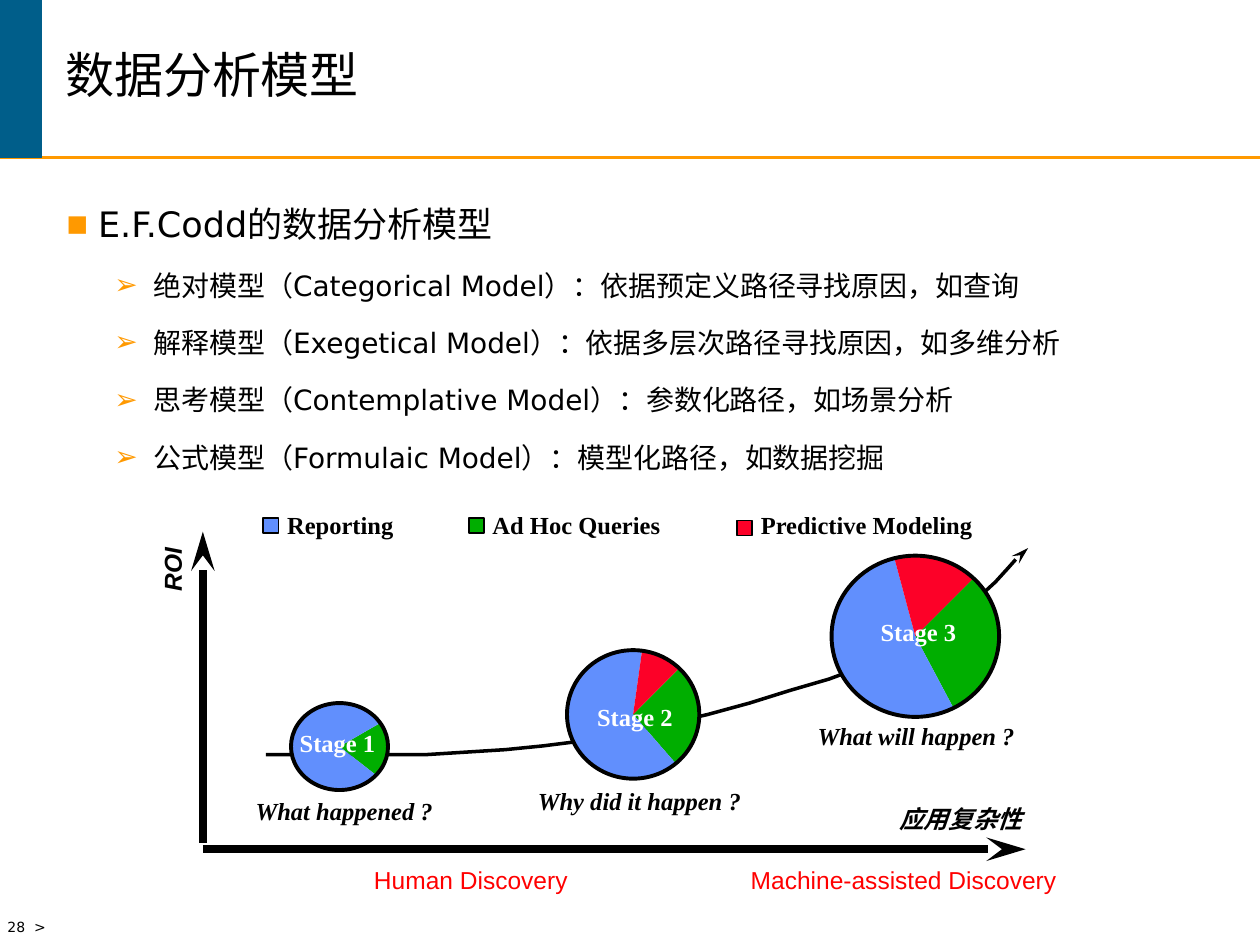
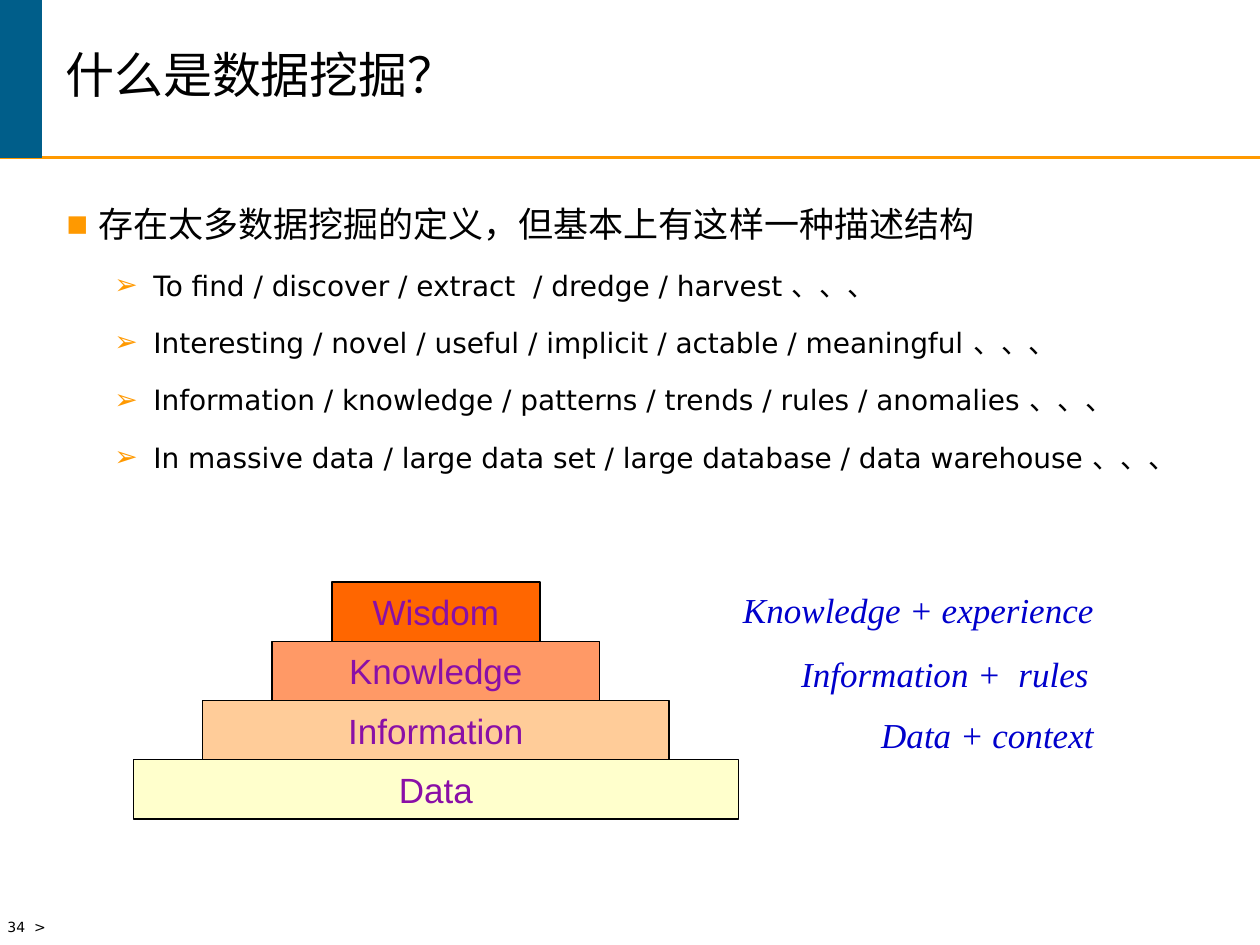
"""Build two slides on data analysis models and data mining."""
from dataclasses import dataclass

from lxml import etree
from pptx import Presentation
from pptx.dml.color import RGBColor
from pptx.enum.shapes import MSO_CONNECTOR, MSO_SHAPE
from pptx.enum.text import MSO_ANCHOR, PP_ALIGN
from pptx.oxml.ns import qn
from pptx.util import Inches, Pt

RECTANGLE = MSO_SHAPE.RECTANGLE
OVAL = MSO_SHAPE.OVAL
PIE = MSO_SHAPE.PIE
STRAIGHT = MSO_CONNECTOR.STRAIGHT
MIDDLE = MSO_ANCHOR.MIDDLE
LEFT, CENTER, RIGHT = PP_ALIGN.LEFT, PP_ALIGN.CENTER, PP_ALIGN.RIGHT


@dataclass(frozen=True)
class Theme:
    black: str = "000000"
    white: str = "FFFFFF"
    band: str = "005E8A"
    accent: str = "FF9900"
    reporting: str = "618FFD"
    queries: str = "00AE00"
    predictive: str = "FC0128"
    discovery: str = "FF0000"
    formula: str = "0000CC"
    layer_text: str = "8A0FA7"
    layers: tuple = ("FF6600", "FF9966", "FFCC99", "FFFFCC")
    title_font: str = "Noto Sans CJK SC"
    body_font: str = "DejaVu Sans"
    serif: str = "Times New Roman"
    sans: str = "Arial"
    title_size: int = 28
    heading_size: int = 20
    item_size: int = 16
    label_size: int = 14
    footer_size: int = 8


THEME = Theme()


def write(para, text, font, size, color, bold=False, italic=False):
    para.text = text
    for span in para.runs:
        span.font.name = font
        span.font.size = Pt(size)
        span.font.bold = bold
        span.font.italic = italic
        span.font.color.rgb = RGBColor.from_string(color)
        east_asian = etree.Element(qn("a:ea"), typeface=font)
        span.font.fill._xPr.find(qn("a:latin")).addnext(east_asian)


def add_label(page, text, place, font, size, color, bold=False, italic=False, align=LEFT):
    box = page.shapes.add_textbox(*map(Inches, place))
    box.text_frame.word_wrap = False
    para = box.text_frame.paragraphs[0]
    write(para, text, font, size, color, bold, italic)
    para.alignment = align
    return box


deck = Presentation()
deck.slide_width, deck.slide_height = Inches(10), Inches(7.5)

contents = [
    ("数据分析模型", "28  >", "E.F.Codd的数据分析模型", [
        "绝对模型（Categorical Model）：依据预定义路径寻找原因，如查询",
        "解释模型（Exegetical Model）：依据多层次路径寻找原因，如多维分析",
        "思考模型（Contemplative Model）：参数化路径，如场景分析",
        "公式模型（Formulaic Model）：模型化路径，如数据挖掘",
    ]),
    ("什么是数据挖掘？", "34  >", "存在太多数据挖掘的定义，但基本上有这样一种描述结构", [
        "To find / discover / extract  / dredge / harvest 、、、",
        "Interesting / novel / useful / implicit / actable / meaningful 、、、",
        "Information / knowledge / patterns / trends / rules / anomalies 、、、",
        "In massive data / large data set / large database / data warehouse 、、、",
    ]),
]

pages = []
connectors = []
for title, footer, heading, items in contents:
    page = deck.slides.add_slide(deck.slide_layouts[6])
    pages.append(page)

    rule = page.shapes.add_connector(STRAIGHT, 0, Inches(1.25), Inches(10), Inches(1.25))
    rule.line.color.rgb = RGBColor.from_string(THEME.accent)
    rule.line.width = Pt(1.5)
    connectors.append(rule)

    band = page.shapes.add_shape(RECTANGLE, 0, 0, Inches(0.33), Inches(1.25))
    band.shadow.inherit = False
    band.fill.solid()
    band.fill.fore_color.rgb = RGBColor.from_string(THEME.band)
    band.line.color.rgb = RGBColor.from_string(THEME.band)
    band.line.width = Pt(1)

    add_label(page, footer, (-0.04, 7.24, 0.55, 0.26),
              THEME.body_font, THEME.footer_size, THEME.black)
    title_box = add_label(page, title, (0.42, 0, 9.33, 1.25),
                          THEME.title_font, THEME.title_size, THEME.black)
    title_box.text_frame.word_wrap = True
    title_box.text_frame.vertical_anchor = MIDDLE
    title_box.text_frame.paragraphs[0].line_spacing = 0.85

    body = page.shapes.add_textbox(Inches(0.43), Inches(1.39), Inches(9.37), Inches(2.6))
    body.text_frame.word_wrap = True
    for index, text in enumerate([heading, *items]):
        if index == 0:
            para = body.text_frame.paragraphs[0]
            size, mark, mark_scale = THEME.heading_size, "■", "65000"
            margin, hanging = 0.25, 0.25
        else:
            para = body.text_frame.add_paragraph()
            para.level = 1
            para.space_before = Pt(4)
            size, mark, mark_scale = THEME.item_size, "➢", "100000"
            margin, hanging = 0.69, 0.31
        para.line_spacing = 1.5
        properties = para._p.get_or_add_pPr()
        properties.set("marL", str(Inches(margin)))
        properties.set("indent", str(-Inches(hanging)))
        bullet_color = etree.SubElement(properties, qn("a:buClr"))
        etree.SubElement(bullet_color, qn("a:srgbClr"), val=THEME.accent)
        etree.SubElement(properties, qn("a:buSzPct"), val=mark_scale)
        etree.SubElement(properties, qn("a:buFont"), typeface=THEME.body_font)
        etree.SubElement(properties, qn("a:buChar"), char=mark)
        write(para, text, THEME.body_font, size, THEME.black)

model_page, mining_page = pages

legend = [
    ("Reporting", THEME.reporting, 2.09, 4.11, 1.15),
    ("Ad Hoc Queries", THEME.queries, 3.72, 4.11, 1.65),
    ("Predictive Modeling", THEME.predictive, 5.85, 4.13, 2),
]
for text, color, left, top, width in legend:
    key = model_page.shapes.add_shape(
        RECTANGLE, Inches(left), Inches(top), Inches(0.12), Inches(0.12))
    key.shadow.inherit = False
    key.fill.solid()
    key.fill.fore_color.rgb = RGBColor.from_string(color)
    key.line.color.rgb = RGBColor.from_string(THEME.black)
    key.line.width = Pt(1)
    add_label(model_page, text, (left + 0.09, 4, width, 0.33),
              THEME.serif, THEME.label_size, THEME.black, bold=True)

questions = [
    ("What happened ?", 1.93, 6.27, 1.9),
    ("Why did it happen ?", 4.17, 6.19, 2),
    ("What will happen ?", 6.39, 5.67, 2),
]
for text, left, top, width in questions:
    add_label(model_page, text, (left, top, width, 0.33),
              THEME.serif, THEME.label_size, THEME.black, bold=True, italic=True)

arrows = []
for ends in [(1.61, 6.69, 1.61, 4.22), (1.61, 6.74, 8.14, 6.74)]:
    axis = model_page.shapes.add_connector(STRAIGHT, *map(Inches, ends))
    axis.line.width = Pt(4.5)
    arrows.append(axis)
    connectors.append(axis)

axis_names = [("ROI", (1.09, 4.35, 0.55, 0.33), 270), ("应用复杂性", (7.04, 6.33, 1.3, 0.33), 0)]
for text, place, rotation in axis_names:
    name = add_label(model_page, text, place, THEME.sans, THEME.label_size,
                     THEME.black, bold=True, italic=True)
    name.rotation = rotation

growth_points = [
    (211, 599), (274, 599), (337, 599), (369, 597), (401, 595), (431, 592),
    (463, 588), (495, 582), (528, 575), (562, 567), (595, 558), (627, 548),
    (658, 539), (685, 529), (709, 519), (730, 509), (748, 497), (764, 486),
    (778, 473), (790, 462), (800, 451), (808, 442), (812, 438), (816, 435),
]
outline = model_page.shapes.build_freeform(*growth_points[0], scale=Inches(0.01))
outline.add_line_segments(growth_points[1:], close=False)
growth_curve = outline.convert_to_shape()
growth_curve.shadow.inherit = False
growth_curve.fill.background()
growth_curve.line.width = Pt(2)
arrows.append(growth_curve)

for arrow in arrows:
    arrow.line.color.rgb = RGBColor.from_string(THEME.black)
    etree.SubElement(arrow.line._get_or_add_ln(), qn("a:tailEnd"),
                     type="stealth", w="med", len="lg")

stages = [
    ("Stage 3", (6.6, 4.41, 1.33, 1.28), (6.89, 4.85, 0.85, 0.33),
     [(THEME.queries, 315, 62), (THEME.reporting, 62, 255), (THEME.predictive, 255, 315)]),
    ("Stage 2", (4.5, 5.16, 1.05, 1.02), (4.64, 5.52, 0.85, 0.33),
     [(THEME.queries, 315, 49), (THEME.reporting, 49, 278), (THEME.predictive, 278, 315)]),
    ("Stage 1", (2.31, 5.58, 0.77, 0.69), (2.28, 5.73, 0.85, 0.33),
     [(THEME.queries, 330, 38), (THEME.reporting, 38, 330)]),
]
for text, circle, label_place, slices in stages:
    for color, start, end in slices:
        wedge = model_page.shapes.add_shape(PIE, *map(Inches, circle))
        wedge.shadow.inherit = False
        wedge.adjustments[0] = start * 0.6
        wedge.adjustments[1] = end * 0.6
        wedge.fill.solid()
        wedge.fill.fore_color.rgb = RGBColor.from_string(color)
        wedge.line.fill.background()
    ring = model_page.shapes.add_shape(OVAL, *map(Inches, circle))
    ring.shadow.inherit = False
    ring.fill.background()
    ring.line.color.rgb = RGBColor.from_string(THEME.black)
    ring.line.width = Pt(2.25)
    add_label(model_page, text, label_place, THEME.serif, THEME.label_size,
              THEME.white, bold=True)

for text, left, width in [("Human Discovery", 2.87, 1.9), ("Machine-assisted Discovery", 5.86, 2.8)]:
    add_label(model_page, text, (left, 6.82, width, 0.33),
              THEME.sans, THEME.label_size, THEME.discovery)

layer_height = 0.47
layer_names = ["Wisdom", "Knowledge", "Information", "Data"]
layer_widths = [1.65, 2.6, 3.7, 4.8]
for index, (text, width, color) in enumerate(zip(layer_names, layer_widths, THEME.layers)):
    layer = mining_page.shapes.add_shape(
        RECTANGLE, Inches(3.46 - width / 2), Inches(4.62 + index * layer_height),
        Inches(width), Inches(layer_height))
    layer.shadow.inherit = False
    layer.fill.solid()
    layer.fill.fore_color.rgb = RGBColor.from_string(color)
    layer.line.color.rgb = RGBColor.from_string(THEME.black)
    layer.line.width = Pt(0.75)
    layer.text_frame.vertical_anchor = MIDDLE
    para = layer.text_frame.paragraphs[0]
    write(para, text, THEME.sans, THEME.heading_size, THEME.layer_text)
    para.alignment = CENTER

formulas = [
    ("Knowledge + experience", 8.78, 4.62),
    ("Information +  rules", 8.74, 5.13),
    ("Data + context", 8.78, 5.61),
]
formula_width = 3.2
for text, right, top in formulas:
    add_label(mining_page, text, (right - formula_width, top, formula_width, 0.44),
              THEME.serif, THEME.heading_size, THEME.formula, italic=True, align=RIGHT)

for connector in connectors:
    etree.SubElement(connector._element.spPr, qn("a:effectLst"))

deck.save("out.pptx")
